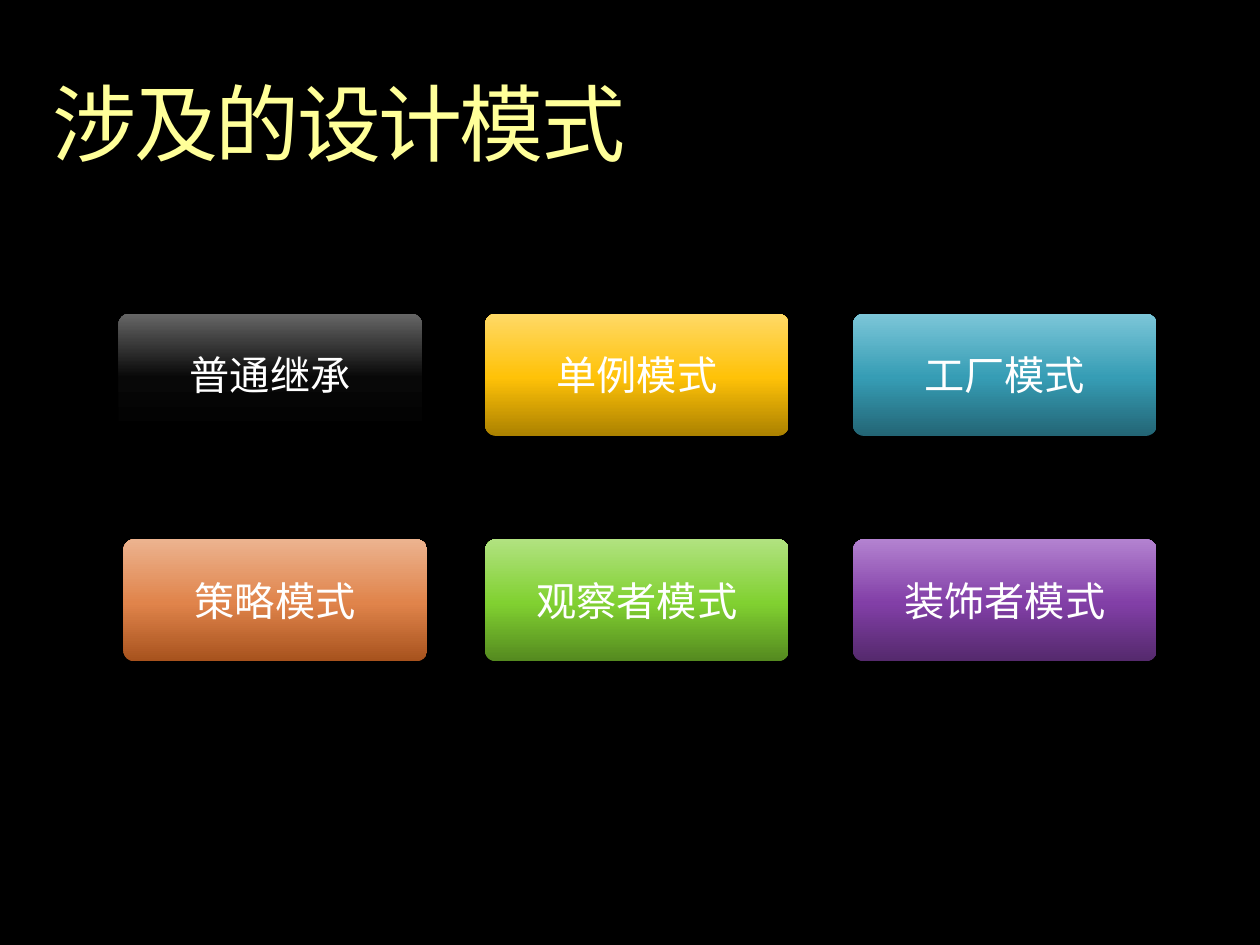
from copy import deepcopy
from pptx import Presentation
from pptx.dml.color import RGBColor
from pptx.enum import shapes, text
from pptx.oxml.ns import qn
from pptx.util import Inches, Pt

FONT = "Noto Sans CJK SC"
BLACK = RGBColor(0, 0, 0)
WHITE = RGBColor(255, 255, 255)
YELLOW = RGBColor(0xFF, 0xFF, 0x99)


def add_run(para, words, size, color):
    run = para.add_run()
    run.text = words
    run.font.size = Pt(size)
    run.font.name = FONT
    run.font.color.rgb = color
    props = run.font._element
    east = props.makeelement(qn("a:ea"), {"typeface": FONT})
    props.find(qn("a:latin")).addnext(east)
    return run


def shade(fill, colors):
    """Upward gradient with three stops."""
    fill.gradient()
    fill.gradient_angle = 90
    first = fill.gradient_stops[0]._gs
    first.addnext(deepcopy(first))
    for stop, place, color in zip(fill.gradient_stops, (0, 0.48, 1), colors):
        stop.position = place
        stop.color.rgb = RGBColor.from_string(color)


deck = Presentation()
deck.slide_width, deck.slide_height = Inches(10), Inches(7.5)
slide = deck.slides.add_slide(deck.slide_layouts[5])
slide.background.fill.solid()
slide.background.fill.fore_color.rgb = BLACK

# Title
title = slide.shapes.title
title.left, title.top = Inches(0.42), Inches(0.66)
title.width, title.height = Inches(9.17), Inches(0.73)
frame = title.text_frame
frame.margin_left = frame.margin_right = 0
frame.margin_top = frame.margin_bottom = 0
frame.word_wrap = True
frame.auto_size = text.MSO_AUTO_SIZE.SHAPE_TO_FIT_TEXT
frame.vertical_anchor = text.MSO_ANCHOR.TOP
para = frame.paragraphs[0]
para.alignment = text.PP_ALIGN.LEFT
para.line_spacing = 0.9
run = add_run(para, "涉及的设计模式", 48, YELLOW)
run.font._element.set("spc", "-150")

# Pattern boxes: top, left of first box, then label and colours
rows = [
    (2.49, 0.94, [
        ("普通继承", ("000000", "080808", "666666")),
        ("单例模式", ("AB8100", "FFC208", "FFD966")),
        ("工厂模式", ("236575", "369DB5", "7CC6D8")),
    ]),
    (4.28, 0.98, [
        ("策略模式", ("A7521D", "E0844B", "ECB38F")),
        ("观察者模式", ("54891F", "81D131", "B1E280")),
        ("装饰者模式", ("54296C", "823FA7", "B382D0")),
    ]),
]
for top, start, items in rows:
    for left, (label, colors) in zip((start, 3.85, 6.77), items):
        box = slide.shapes.add_shape(
            shapes.MSO_SHAPE.ROUNDED_RECTANGLE,
            Inches(left), Inches(top), Inches(2.41), Inches(0.97))
        box.adjustments[0] = 0.09
        box.shadow.inherit = False
        box.line.fill.background()
        shade(box.fill, colors)
        frame = box.text_frame
        frame.word_wrap = True
        frame.vertical_anchor = text.MSO_ANCHOR.MIDDLE
        para = frame.paragraphs[0]
        para.alignment = text.PP_ALIGN.CENTER
        add_run(para, label, 23, WHITE)

deck.save("out.pptx")
